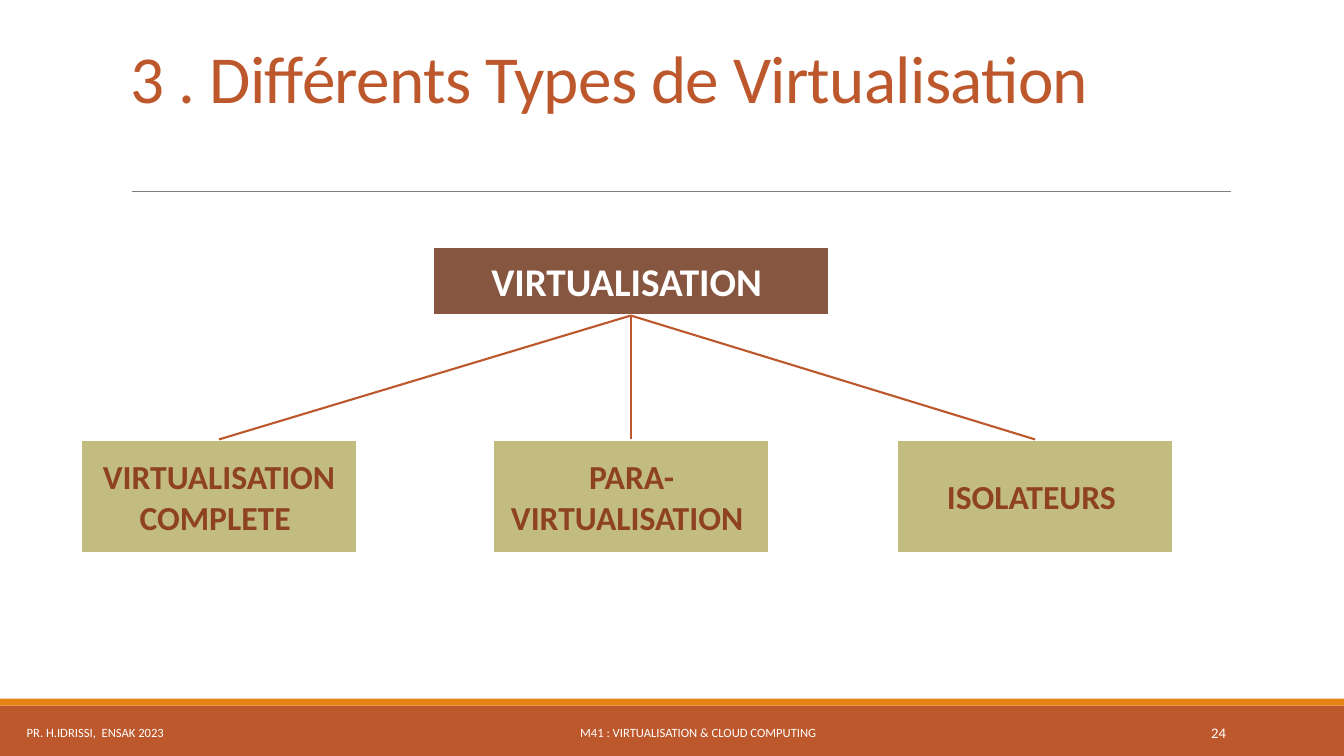
import pptx
import pptx.util
import pptx.dml.color
import pptx.enum.shapes
import pptx.enum.text
from lxml import etree

Pt = pptx.util.Pt
RGB = pptx.dml.color.RGBColor.from_string
ALIGN = pptx.enum.text.PP_ALIGN
ANCHOR = pptx.enum.text.MSO_ANCHOR
RECTANGLE = pptx.enum.shapes.MSO_SHAPE.RECTANGLE
STRAIGHT = pptx.enum.shapes.MSO_CONNECTOR.STRAIGHT

COLORS = {
    "rust": "BD582C",
    "orange": "E48312",
    "brown": "865640",
    "olive": "C2BC80",
    "dark_rust": "8E4221",
    "grey": "808080",
    "white": "FFFFFF",
}

deck = pptx.Presentation()
deck.slide_width, deck.slide_height = Pt(960), Pt(540)
slide = deck.slides.add_slide(deck.slide_layouts[6])


def add_block(box, text, size, color, align=ALIGN.CENTER, fill=None, outlined=False, bold=False):
    """Place text in a filled rectangle, or in a plain text box without a fill."""
    place = [Pt(length) for length in box]
    if fill:
        block = slide.shapes.add_shape(RECTANGLE, *place)
        block.shadow.inherit = False
        block.fill.solid()
        block.fill.fore_color.rgb = RGB(COLORS[fill])
        if outlined:
            block.line.color.rgb = RGB(COLORS["white"])
            block.line.width = Pt(2)
        else:
            block.line.fill.background()
    else:
        block = slide.shapes.add_textbox(*place)
    frame = block.text_frame
    frame.word_wrap = True
    frame.vertical_anchor = ANCHOR.MIDDLE
    frame.text = text
    for paragraph in frame.paragraphs:
        paragraph.alignment = align
        paragraph.font.name = "Calibri"
        paragraph.font.size = Pt(size)
        paragraph.font.bold = bold
        paragraph.font.color.rgb = RGB(COLORS[color])
    return block


def add_line(start, end, color, width):
    line = slide.shapes.add_connector(STRAIGHT, *[Pt(length) for length in (*start, *end)])
    line.line.color.rgb = RGB(COLORS[color])
    line.line.width = Pt(width)
    etree.SubElement(line._element.spPr, pptx.oxml.ns.qn("a:effectLst"))


# Footer bands and title rule
add_block((0, 504, 960, 36), "", 9, "white", fill="rust")
add_block((0, 499, 960, 5), "", 9, "white", fill="orange")
add_line((94.3, 136.8), (879, 136.8), "grey", 0.5)

# Title
title = add_block((86.4, 22.3, 792, 64.8), "3 . Différents Types de Virtualisation",
                  48, "rust", ALIGN.LEFT)
title.text_frame.vertical_anchor = ANCHOR.BOTTOM
heading = title.text_frame.paragraphs[0]
heading.line_spacing = 0.85
heading.runs[0]._r.get_or_add_rPr().set("spc", "-50")

# Footer texts
for left, width, text, size, align in [
    (9, 118, "PR. H.IDRISSI,  ENSAK 2023", 9, ALIGN.CENTER),
    (387.4, 222.5, "M41 : VIRTUALISATION & CLOUD COMPUTING", 9, ALIGN.CENTER),
    (779.8, 103, "24", 10.5, ALIGN.RIGHT),
]:
    add_block((left, 508.6, width, 28.8), text, size, "white", align)

# Root of the tree
root_center, root_bottom = 450.6, 225.4
add_block((309, 175.9, 283.4, 49.5), "VIRTUALISATION ", 28, "white",
          fill="brown", outlined=True, bold=True)

# Types of virtualisation
type_top, type_width, type_height = 313.9, 197.6, 81.4
types = [
    (57.6, "VIRTUALISATION\nCOMPLETE "),
    (351.8, "PARA-VIRTUALISATION "),
    (640.6, "ISOLATEURS "),
]
for left, name in types:
    add_block((left, type_top, type_width, type_height), name, 24, "dark_rust",
              fill="olive", outlined=True, bold=True)

# Branches from the root to each type
for left, name in types:
    add_line((root_center, root_bottom), (left + type_width / 2, type_top), "rust", 1.5)

deck.save("out.pptx")
